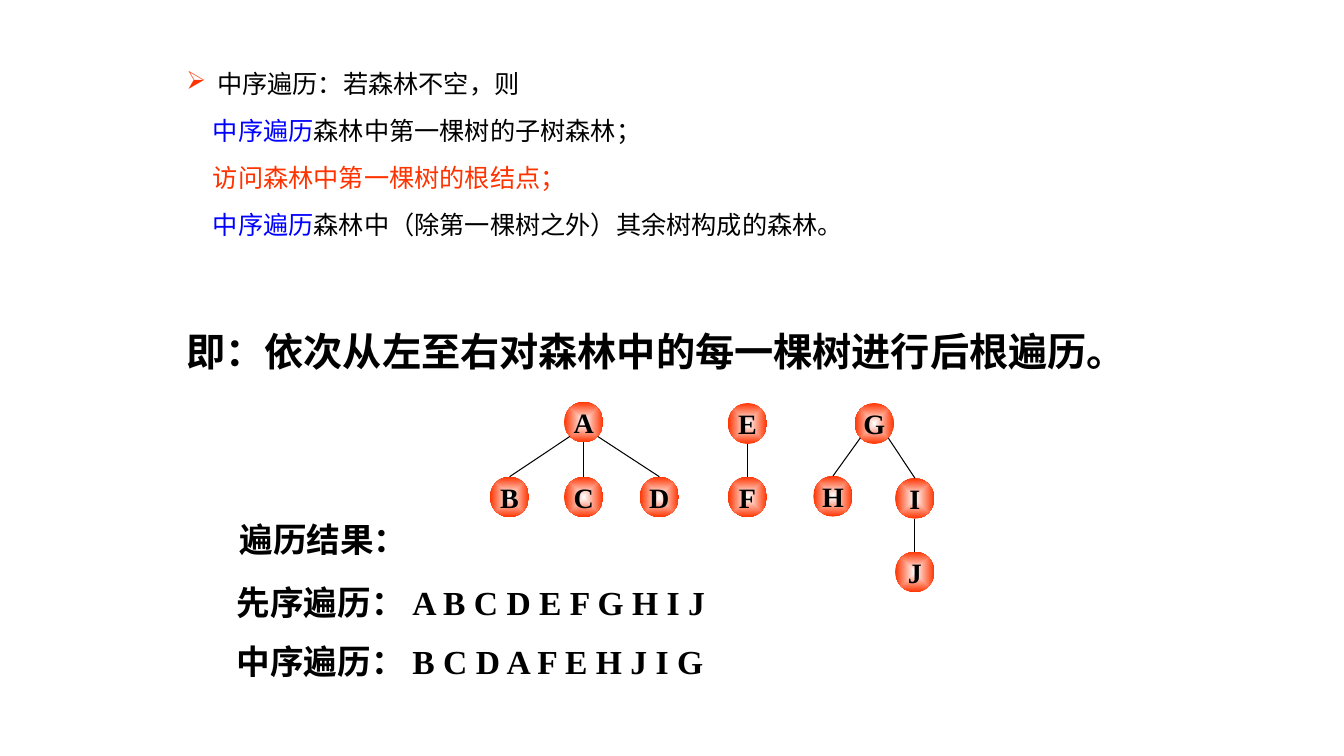
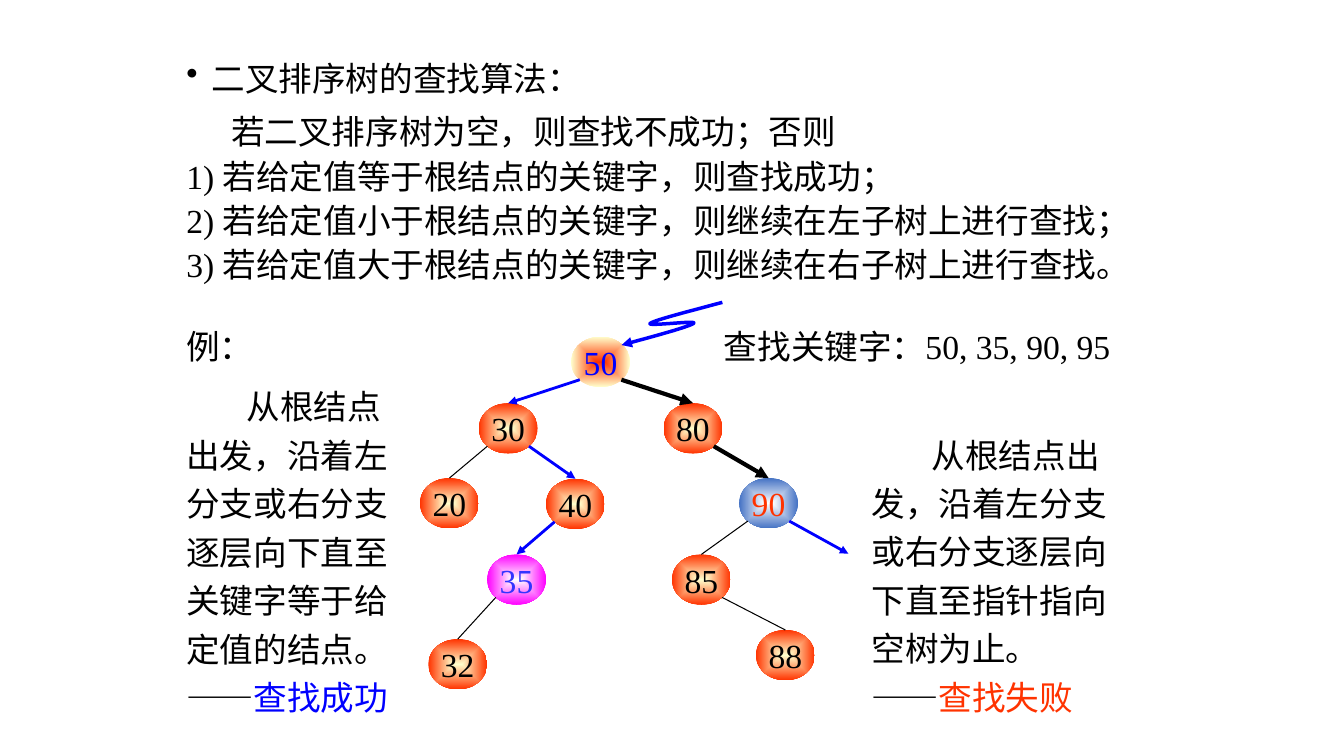
from dataclasses import dataclass
from math import sqrt

from lxml.etree import SubElement
from pptx import Presentation
from pptx.dml.color import RGBColor
from pptx.enum.shapes import MSO_CONNECTOR, MSO_SHAPE
from pptx.enum.text import MSO_ANCHOR, PP_ALIGN
from pptx.oxml.ns import qn
from pptx.util import Pt


@dataclass(frozen=True)
class Theme:
    black: str = "000000"
    white: str = "FFFFFF"
    red: str = "FF3300"
    blue: str = "0000FF"
    violet: str = "3333FF"
    magenta: str = "FF00FF"
    steel: str = "4472C4"
    cream: str = "FFFFCC"
    serif: str = "Times New Roman"
    sans: str = "Noto Sans CJK SC"
    small: float = 18
    label: float = 20
    body: float = 24
    summary: float = 28
    left: float = 126


THEME = Theme()


@dataclass(frozen=True)
class Para:
    """A paragraph; each run is a string or a (string, colour) pair."""
    runs: tuple
    margin: float = 0
    indent: float = 0
    bullet: str = ""
    bullet_colour: str = THEME.black
    tabs: tuple = ()


@dataclass(frozen=True)
class NodeStyle:
    width: float
    height: float
    inner: str
    outer: str
    text: str = THEME.black
    size: float = THEME.body
    bold: bool = False


@dataclass(frozen=True)
class EdgeStyle:
    colour: str = THEME.black
    width: float = 0.75
    arrow: bool = False


PLAIN = EdgeStyle()
FOUND = EdgeStyle(THEME.blue, 2, True)
MISSED = EdgeStyle(THEME.black, 3, True)


def add_run(paragraph, text, size=THEME.body, bold=False, colour=THEME.black,
            font=THEME.serif):
    run = paragraph.add_run()
    run.text = text
    run.font.size = Pt(size)
    run.font.bold = bold
    run.font.name = font
    run.font.color.rgb = RGBColor.from_string(colour)
    SubElement(run.font._element, qn("a:ea"), typeface=THEME.sans)


def set_layout(paragraph, para):
    """Apply indents, bullet and tab stops to a paragraph."""
    properties = paragraph._p.get_or_add_pPr()
    properties.set("marL", str(Pt(para.margin)))
    properties.set("indent", str(Pt(para.indent)))
    if para.bullet:
        colour = SubElement(properties, qn("a:buClr"))
        SubElement(colour, qn("a:srgbClr"), val=para.bullet_colour)
        SubElement(properties, qn("a:buChar"), char=para.bullet)
    if para.tabs:
        stops = SubElement(properties, qn("a:tabLst"))
        for position in para.tabs:
            SubElement(stops, qn("a:tab"), pos=str(Pt(position)), algn="l")


def add_text(slide, paras, left, top, width, pitch=28.8, **run_format):
    """Add a text box whose lines are `pitch` points apart."""
    box = slide.shapes.add_textbox(Pt(left), Pt(top), Pt(width),
                                   Pt(pitch * len(paras) + 7.2))
    frame = box.text_frame
    frame.word_wrap = True
    for index, para in enumerate(paras):
        paragraph = frame.add_paragraph() if index else frame.paragraphs[0]
        set_layout(paragraph, para)
        paragraph.line_spacing = Pt(pitch)
        for run in para.runs:
            text, colour = (run, THEME.black) if isinstance(run, str) else run
            add_run(paragraph, text, colour=colour, **run_format)


def fill_radial(shape, inner, outer):
    shape.fill.gradient()
    for stop, colour in zip(shape.fill.gradient_stops, (inner, outer)):
        stop.color.rgb = RGBColor.from_string(colour)
    gradient = shape._element.spPr.find(qn("a:gradFill"))
    gradient.remove(gradient.find(qn("a:lin")))
    path = SubElement(gradient, qn("a:path"))
    path.set("path", "shape")
    SubElement(path, qn("a:fillToRect"), l="50000", t="50000", r="50000", b="50000")


def add_node(slide, key, centre, top, style):
    node = slide.shapes.add_shape(MSO_SHAPE.OVAL, Pt(centre - style.width / 2), Pt(top),
                                  Pt(style.width), Pt(style.height))
    node.shadow.inherit = False
    node.line.fill.background()
    fill_radial(node, style.inner, style.outer)
    frame = node.text_frame
    frame.word_wrap = False
    frame.vertical_anchor = MSO_ANCHOR.MIDDLE
    frame.margin_left = frame.margin_right = frame.margin_top = frame.margin_bottom = 0
    paragraph = frame.paragraphs[0]
    paragraph.alignment = PP_ALIGN.CENTER
    add_run(paragraph, key, size=style.size, bold=style.bold, colour=style.text)


def style_line(line, style):
    line.color.rgb = RGBColor.from_string(style.colour)
    line.width = Pt(style.width)
    if style.arrow:
        SubElement(line._get_or_add_ln(), qn("a:tailEnd"), type="triangle")


def add_edge(slide, start, end, style):
    edge = slide.shapes.add_connector(MSO_CONNECTOR.STRAIGHT,
                                      *(Pt(value) for value in (*start, *end)))
    style_line(edge.line, style)
    SubElement(edge._element.spPr, qn("a:effectLst"))


def departure(place, side, style):
    """Point where an edge leaves a node: lower left, bottom or lower right."""
    centre, top = place
    reach = 1 / sqrt(2) if side else 1
    return (centre + side * style.width / 2 * reach,
            top + style.height / 2 * (1 + reach))


def add_tree(slide, places, edges, style, special=None):
    """Draw nodes given as key: (centre, top), and edges as (parent, child, style)."""
    for key, (centre, top) in places.items():
        add_node(slide, key, centre, top, (special or {}).get(key, style))
    for parent, child, edge_style in edges:
        shift = places[child][0] - places[parent][0]
        side = (shift > 0) - (shift < 0)
        add_edge(slide, departure(places[parent], side, style), places[child], edge_style)


def curve_points(start, curves, steps=16):
    """Points along a chain of cubic curves."""
    points = []
    for first, second, end in curves:
        for step in range(1, steps + 1):
            t = step / steps
            weights = ((1 - t) ** 3, 3 * t * (1 - t) ** 2, 3 * t * t * (1 - t), t ** 3)
            points.append(tuple(
                sum(w * p[axis] for w, p in zip(weights, (start, first, second, end)))
                for axis in (0, 1)))
        start = end
    return points


def add_squiggle(slide, start, curves, style):
    builder = slide.shapes.build_freeform(Pt(start[0]), Pt(start[1]))
    builder.add_line_segments([(Pt(x), Pt(y)) for x, y in curve_points(start, curves)],
                              close=False)
    squiggle = builder.convert_to_shape()
    squiggle.shadow.inherit = False
    squiggle.fill.background()
    style_line(squiggle.line, style)


def build_forest_slide(slide):
    recurse = ("中序遍历", THEME.blue)
    add_text(slide, [
        Para(("中序遍历：若森林不空，则",), 22, -22, "➢", THEME.red),
        Para((recurse, "森林中第一棵树的子树森林；"), 19),
        Para((("访问森林中第一棵树的根结点；", THEME.red),), 19),
        Para((recurse, "森林中（除第一棵树之外）其余树构成的森林。"), 19),
    ], THEME.left, 33, 520, pitch=33.6, size=THEME.small, font=THEME.sans)
    add_text(slide, [Para(("即：依次从左至右对森林中的每一棵树进行后根遍历。",))],
             THEME.left, 230, 702, pitch=33.6, size=THEME.summary, bold=True)
    for text, left, top in (("遍历结果：", 164, 367),
                            ("先序遍历： A B C D E F G H I J", 162, 412),
                            ("中序遍历： B C D A F E H J I G", 162, 454)):
        add_text(slide, [Para((text,))], left, top, 372, bold=True)

    places = {
        "A": (417, 287), "B": (364, 340.5), "C": (417, 340.5), "D": (471, 340.5),
        "E": (534, 288), "F": (534, 340.5),
        "G": (624.5, 288), "H": (595, 340), "I": (653.5, 341.5), "J": (653.5, 394),
    }
    edges = [(parent, child, PLAIN)
             for parent, children in (("A", "BCD"), ("E", "F"), ("G", "HI"), ("I", "J"))
             for child in children]
    add_tree(slide, places, edges,
             NodeStyle(28, 29, THEME.white, THEME.red, size=THEME.label, bold=True))


def build_search_slide(slide):
    add_text(slide, [Para(("二叉排序树的查找算法：",), 18, -18, "•")],
             THEME.left, 37.5, 400)
    add_text(slide, [
        Para(("若二叉排序树为空，则查找不成功；否则",), indent=32),
        Para(("1) 若给定值等于根结点的关键字，则查找成功；",)),
        Para(("2) 若给定值小于根结点的关键字，则继续在左子树上进行查找；",)),
        Para(("3) 若给定值大于根结点的关键字，则继续在右子树上进行查找。",)),
    ], THEME.left, 73, 710, pitch=31.7)
    add_text(slide, [Para(("例：",))], THEME.left, 229, 70)
    add_text(slide, [Para(("查找关键字：50,\t35,\t90,\t95",), tabs=(191.5, 233.5, 275.5))],
             510, 229, 330)

    def add_outcome(lines, outcome, left, top, width):
        first, *rest = lines
        add_text(slide, [Para((first,), indent=43),
                         *(Para((line,)) for line in rest),
                         Para(("——", outcome))], left, top, width, pitch=34.6)

    add_outcome(("从根结点", "出发，沿着左", "分支或右分支", "逐层向下直至",
                 "关键字等于给", "定值的结点。"),
                ("查找成功", THEME.blue), THEME.left, 266.5, 168)
    add_outcome(("从根结点出", "发，沿着左分支", "或右分支逐层向", "下直至指针指向",
                 "空树为止。"),
                ("查找失败", THEME.red), 615.5, 301, 207)

    size = (42, 36)
    style = NodeStyle(*size, THEME.cream, THEME.red)
    special = {
        "50": NodeStyle(*size, THEME.red, THEME.cream, THEME.blue),
        "35": NodeStyle(*size, THEME.white, THEME.magenta, THEME.violet),
        "90": NodeStyle(*size, THEME.white, THEME.steel, THEME.red),
    }
    places = {
        "50": (429, 240.5), "30": (363, 288), "80": (495, 288),
        "20": (321, 341.5), "40": (411, 342), "90": (549, 341.5),
        "35": (369, 396), "85": (501, 396), "32": (327, 456.5), "88": (561, 450),
    }
    edges = [
        ("50", "30", FOUND), ("30", "40", FOUND), ("40", "35", FOUND),
        ("50", "80", MISSED), ("80", "90", MISSED),
        ("30", "20", PLAIN), ("35", "32", PLAIN),
        ("90", "85", PLAIN), ("85", "88", PLAIN),
    ]
    add_tree(slide, places, edges, style, special)
    add_edge(slide, departure(places["90"], 1, style), (606, 395.5), FOUND)
    add_squiggle(slide, (516, 216), (
        ((492, 222.5), (468, 228.5), (464.5, 231)),
        ((461, 233.5), (499, 228.5), (495.5, 231)),
        ((492, 233.5), (468, 240), (444, 246.5)),
    ), EdgeStyle(THEME.blue, 2.5, True))


def main():
    deck = Presentation()
    deck.slide_width, deck.slide_height = Pt(960), Pt(540)
    for build in (build_forest_slide, build_search_slide):
        build(deck.slides.add_slide(deck.slide_layouts[6]))
    deck.save("out.pptx")


if __name__ == "__main__":
    main()
